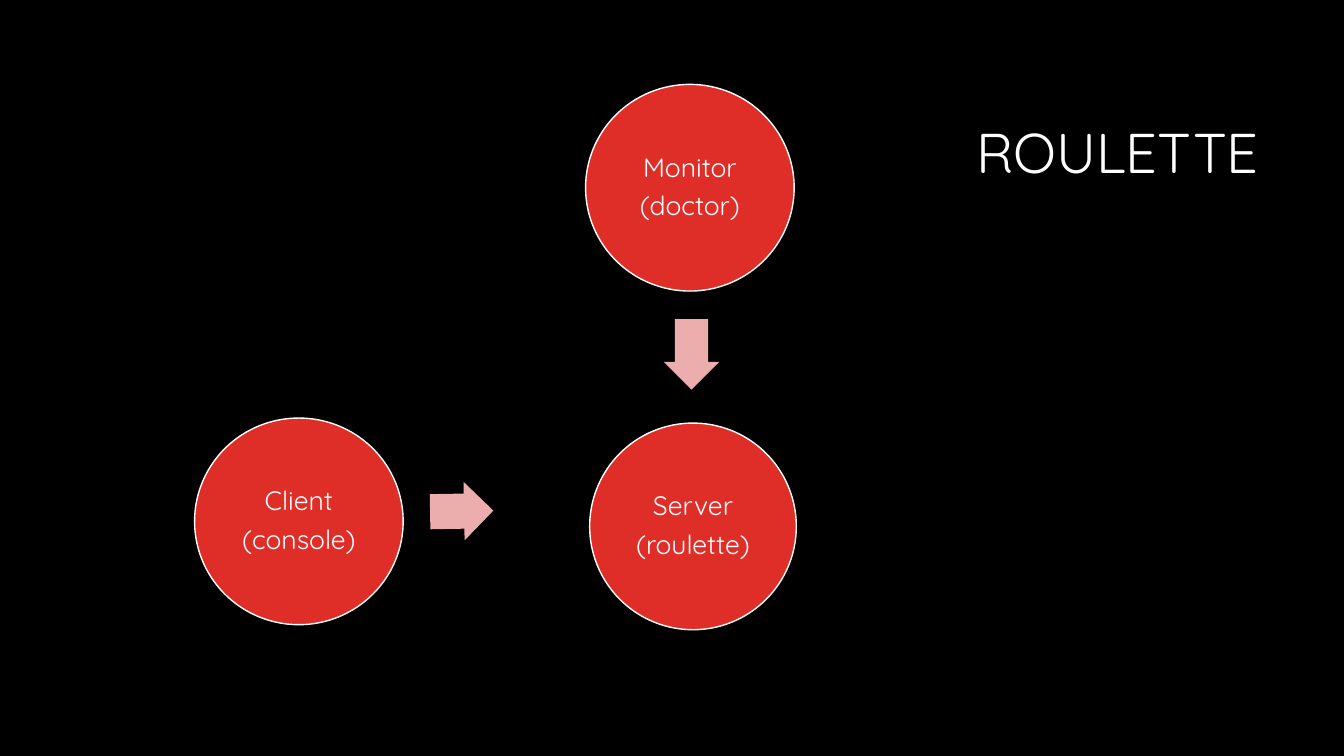
"""Build the roulette slide: client and monitor both point to the server."""
from dataclasses import dataclass

from pptx import Presentation
from pptx.dml.color import RGBColor as RGB
from pptx.enum.shapes import MSO_SHAPE as Shape
from pptx.enum.text import MSO_ANCHOR as Anchor, PP_ALIGN as Align
from pptx.util import Pt


@dataclass(frozen=True)
class Theme:
    font: str = "Quicksand"
    background: RGB = RGB(0, 0, 0)
    text: RGB = RGB(255, 255, 255)
    node: RGB = RGB(0xDF, 0x2E, 0x28)
    arrow: RGB = RGB(0xEC, 0xAD, 0xAD)
    title_size: int = 40
    node_size: int = 19


theme = Theme()


def add_figure(kind, box, color):
    figure = slide.shapes.add_shape(kind, *map(Pt, box))
    figure.shadow.inherit = False
    figure.fill.solid()
    figure.fill.fore_color.rgb = color
    return figure


def style_text(frame, size, align):
    frame.vertical_anchor = Anchor.MIDDLE
    for paragraph in frame.paragraphs:
        paragraph.alignment = align
        paragraph.line_spacing = 0.9
        paragraph.font.name = theme.font
        paragraph.font.size = Pt(size)
        paragraph.font.color.rgb = theme.text


deck = Presentation()
deck.slide_width, deck.slide_height = Pt(960), Pt(540)
slide = deck.slides.add_slide(deck.slide_layouts[5])
slide.background.fill.solid()
slide.background.fill.fore_color.rgb = theme.background

title = slide.shapes.title
title.left, title.top, title.width, title.height = map(Pt, (228.2, 60.5, 678.2, 101.5))
title.text_frame.text = "ROULETTE"
style_text(title.text_frame, theme.title_size, Align.RIGHT)

nodes = [
    ("Client\n(console)", (139, 298.6, 149, 147.6)),
    ("Server\n(roulette)", (421.2, 302.2, 147.6, 147.6)),
    ("Monitor\n(doctor)", (418.3, 60.3, 149, 147.6)),
]
for label, box in nodes:
    node = add_figure(Shape.OVAL, box, theme.node)
    node.line.color.rgb = theme.text
    node.line.width = Pt(1)
    frame = node.text_frame
    frame.word_wrap = True
    frame.margin_left = frame.margin_right = Pt(5.8)
    frame.margin_top = frame.margin_bottom = Pt(5.8)
    frame.text = label
    style_text(frame, theme.node_size, Align.CENTER)
    for paragraph in frame.paragraphs:
        paragraph.space_after = Pt(0.35 * theme.node_size)

arrows = [
    ((307.2, 344.2, 45.2, 41.8), 359),
    ((468.7, 233.3, 50.4, 39.8), 90),
]
for box, rotation in arrows:
    arrow = add_figure(Shape.RIGHT_ARROW, box, theme.arrow)
    arrow.line.fill.background()
    arrow.rotation = rotation
    arrow.adjustments[0] = 0.6
    arrow.adjustments[1] = 0.5

deck.save("out.pptx")
